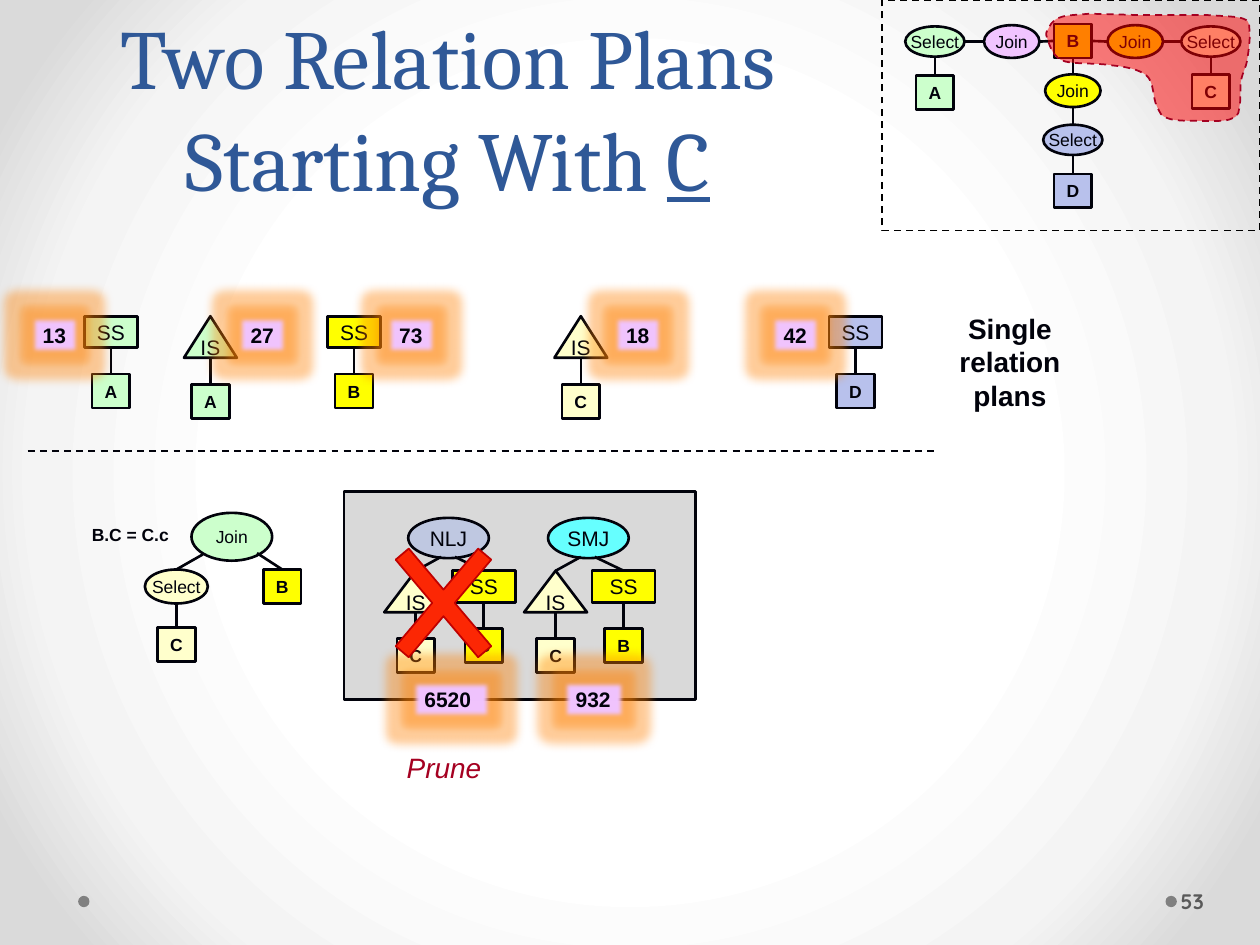
from typing import NamedTuple, Optional

from lxml import etree
from pptx import Presentation
from pptx.dml.color import RGBColor
from pptx.enum import dml, shapes, text
from pptx.oxml import ns
from pptx.util import Inches, Pt


class Theme:
    ink, title, grey, bullet = "01020B", "2F5897", "595959", "808080"
    green, yellow, cream, blue = "CCFFCC", "FFFF00", "FFFFCC", "B8C1EC"
    pink, nlj, smj, panel = "F1C4FF", "BFC8E1", "66FFFF", "D9D9D9"
    cross, cross_edge, region, region_edge = "FC2704", "C00000", "FF0000", "A50021"
    glow = "FF8000"
    body, heading, footer = "Arial", "Cambria", "Quicksand"
    small, medium, large, huge = 10, 12, 16, 48
    thin, thick = 1, 1.5


RECT = shapes.MSO_SHAPE.RECTANGLE
OVAL = shapes.MSO_SHAPE.OVAL
TRIANGLE = shapes.MSO_SHAPE.ISOSCELES_TRIANGLE
TOP, LEFT, BOTTOM, RIGHT = range(4)


class Node(NamedTuple):
    """A labelled operator or table, placed by its centre."""
    kind: int
    label: str
    x: float
    y: float
    width: float
    height: float
    fill: str
    size: int = Theme.small
    bold: bool = False


class Placed(NamedTuple):
    node: Node
    shape: object

    def site(self, side: int) -> tuple:
        n = self.node
        return {TOP: (n.x, n.y - n.height / 2), LEFT: (n.x - n.width / 2, n.y),
                BOTTOM: (n.x, n.y + n.height / 2), RIGHT: (n.x + n.width / 2, n.y)}[side]


class Scan(NamedTuple):
    """A table scan: SS (sequential) or IS (index) above its table."""
    method: str
    table: str
    left: float
    top: float
    width: float
    fill: str


def leaf(label: str, x: float, y: float, fill: str) -> Node:
    return Node(RECT, label, x, y, 0.3, 0.27, fill, bold=True)


def select(x: float, y: float, fill: str) -> Node:
    return Node(OVAL, "Select", x, y, 0.47, 0.24, fill)


def join(x: float, y: float, fill: str) -> Node:
    return Node(OVAL, "Join", x, y, 0.44, 0.26, fill)


presentation = Presentation()
presentation.slide_width, presentation.slide_height = Inches(10), Inches(7.5)
slide = presentation.slides.add_slide(presentation.slide_layouts[6])


def color(value: str) -> RGBColor:
    return RGBColor.from_string(value)


def add_xml(parent, tag: str, **attributes):
    return etree.SubElement(parent, ns.qn(tag), attributes)


def style_line(line, value: str, width: float, dashed: bool = False) -> None:
    line.color.rgb = color(value)
    line.width = Pt(width)
    if dashed:
        line.dash_style = dml.MSO_LINE.DASH


def style_text(frame, label: str, size: float, value: str = Theme.ink, name: str = Theme.body,
               bold: bool = False, italic: bool = False, align=text.PP_ALIGN.LEFT) -> None:
    frame.text = label
    paragraph = frame.paragraphs[0]
    paragraph.alignment = align
    for run in paragraph.runs:
        run.font.name, run.font.size = name, Pt(size)
        run.font.bold, run.font.italic = bold, italic
        run.font.color.rgb = color(value)


def add_box(kind: int, left: float, top: float, width: float, height: float,
            fill: Optional[str] = None):
    shape = slide.shapes.add_shape(kind, *map(Inches, (left, top, width, height)))
    shape.shadow.inherit = False
    if fill:
        shape.fill.solid()
        shape.fill.fore_color.rgb = color(fill)
    else:
        shape.fill.background()
    shape.line.fill.background()
    return shape


def add_text(left: float, top: float, width: float, height: float, label: str, size: float,
             wrap: bool = True, anchor=text.MSO_ANCHOR.TOP, **style):
    frame = slide.shapes.add_textbox(*map(Inches, (left, top, width, height))).text_frame
    frame.word_wrap, frame.vertical_anchor = wrap, anchor
    style_text(frame, label, size, **style)
    return frame


def add_node(node: Node) -> Placed:
    shape = add_box(node.kind, node.x - node.width / 2, node.y - node.height / 2,
                    node.width, node.height, node.fill)
    style_line(shape.line, Theme.ink, Theme.thick)
    shape.text_frame.word_wrap = False
    shape.text_frame.vertical_anchor = text.MSO_ANCHOR.MIDDLE
    style_text(shape.text_frame, node.label, node.size, bold=node.bold, align=text.PP_ALIGN.CENTER)
    return Placed(node, shape)


def add_line(start: tuple, end: tuple, width: float = Theme.thick, dashed: bool = False):
    line = slide.shapes.add_connector(shapes.MSO_CONNECTOR.STRAIGHT, *map(Inches, start + end))
    style_line(line.line, Theme.ink, width, dashed)
    add_xml(line.element.spPr, "a:effectLst")
    return line


def link(first: Placed, first_side: int, second: Placed, second_side: int) -> None:
    line = add_line(first.site(first_side), second.site(second_side))
    if first.node.kind == RECT:
        line.begin_connect(first.shape, first_side)
    if second.node.kind == RECT:
        line.end_connect(second.shape, second_side)


def add_arm(start: tuple, child: Placed) -> None:
    line = add_line(start, child.site(TOP))
    if child.node.kind == RECT:
        line.end_connect(child.shape, TOP)


def add_scan(scan: Scan) -> Placed:
    kind, height, drop = (RECT, 0.25, 0.46) if scan.method == "SS" else (TRIANGLE, 0.33, 0.54)
    x = scan.left + scan.width / 2
    operator = add_node(Node(kind, scan.method, x, scan.top + height / 2, scan.width, height,
                             scan.fill, Theme.medium))
    table = add_node(leaf(scan.table, x, scan.top + drop + 0.135, scan.fill))
    link(operator, BOTTOM, table, TOP)
    return operator


def add_join_plan(left: float, label: str, fill: str) -> None:
    add_node(Node(OVAL, label, left + 0.51, 4.27, 0.64, 0.32, fill, Theme.medium))
    inner = add_scan(Scan("SS", "B", left + 0.54, 4.53, 0.5, Theme.yellow))
    outer = add_scan(Scan("IS", "C", left, 4.53, 0.5, Theme.cream))
    add_arm((left + 0.45, 4.42), outer)
    add_arm((left + 0.56, 4.42), inner)


def add_cost(label: str, left: float, top: float, width: float = 0.39) -> None:
    shape = add_box(RECT, left, top, width, 0.3, Theme.pink)
    style_text(shape.text_frame, label, Theme.medium, bold=True)
    effects = shape.element.spPr.find(ns.qn("a:effectLst"))
    glow = add_xml(effects, "a:glow", rad=str(Pt(11)))
    add_xml(add_xml(glow, "a:srgbClr", val=Theme.glow), "a:alpha", val="40000")
    add_xml(effects, "a:softEdge", rad=str(Pt(2.5)))


def add_region(start: tuple, curves: list) -> None:
    """Draw a closed outline of cubic curves: two handles and an end point each."""
    points = [tuple(map(Inches, curve[i:i + 2])) for curve in curves for i in (0, 2, 4)]
    builder = slide.shapes.build_freeform(*map(Inches, start))
    builder.add_line_segments(points, close=True)
    shape = builder.convert_to_shape()
    segments = shape.element.findall(".//" + ns.qn("a:lnTo"))[:len(points)]
    for first in range(0, len(segments), 3):
        curve = etree.Element(ns.qn("a:cubicBezTo"))
        segments[first].addprevious(curve)
        for segment in segments[first:first + 3]:
            curve.append(segment[0])
            segment.getparent().remove(segment)
    shape.shadow.inherit = False
    shape.fill.solid()
    shape.fill.fore_color.rgb = color(Theme.region)
    add_xml(shape.element.spPr.find(".//" + ns.qn("a:srgbClr")), "a:alpha", val="50000")
    style_line(shape.line, Theme.region_edge, Theme.thin, dashed=True)


# Background: radial gradient
slide.background.fill.gradient()
gradient = slide.element.find(".//" + ns.qn("a:gradFill"))
for child in list(gradient):
    gradient.remove(child)
stops = add_xml(gradient, "a:gsLst")
for percent, value in ((50, "FFFFFF"), (76, "F4F4F4"), (92, "DADADA")):
    add_xml(add_xml(stops, "a:gs", pos=str(percent * 1000)), "a:srgbClr", val=value)
add_xml(add_xml(gradient, "a:path", path="circle"), "a:fillToRect",
        **dict.fromkeys("ltrb", "50000"))

# Title and footer
for left in (9.25, 0.62):
    add_box(OVAL, left, 7.11, 0.09, 0.09, Theme.bullet)
title = add_text(0.18, 0.95, 6.75, 0.75, "Two Relation Plans Starting With ", Theme.huge,
                 anchor=text.MSO_ANCHOR.BOTTOM, value=Theme.title, name=Theme.heading,
                 align=text.PP_ALIGN.CENTER).paragraphs[0]
title.line_spacing = Pt(58)
relation = title.add_run()
relation.text = "C"
relation.font.name, relation.font.size, relation.font.underline = Theme.heading, Pt(Theme.huge), True
relation.font.color.rgb = color(Theme.title)
number = add_text(9.34, 6.95, 0.61, 0.4, "53", Theme.medium, anchor=text.MSO_ANCHOR.MIDDLE,
                  value=Theme.grey, name=Theme.footer, bold=True)
number.margin_left, number.margin_right = Inches(0.03), Inches(0.05)
add_line((0.22, 3.58), (7.44, 3.58), Theme.thin, dashed=True)

# Logical plan for B and C
select_c = add_node(Node(OVAL, "Select", 1.4, 4.655, 0.5, 0.27, Theme.cream))
table_c = add_node(leaf("C", 1.4, 5.115, Theme.cream))
table_b = add_node(leaf("B", 2.24, 4.655, Theme.yellow))
add_node(Node(OVAL, "Join", 1.84, 4.26, 0.64, 0.38, Theme.green))
link(select_c, BOTTOM, table_c, TOP)
add_arm((1.61, 4.4), select_c)
add_arm((2.04, 4.39), table_b)
add_text(0.63, 4.11, 1.05, 0.27, "B.C = C.c", Theme.small, bold=True)

# Physical join plans
panel = add_box(RECT, 2.73, 3.9, 2.79, 1.65, Theme.panel)
style_line(panel.line, Theme.ink, Theme.thick)
add_join_plan(3.05, "NLJ", Theme.nlj)
add_join_plan(4.16, "SMJ", Theme.smj)

# Query graph
graph = {key: add_node(node) for key, node in {
    "A": leaf("A", 7.42, 0.735, Theme.green), "select A": select(7.42, 0.33, Theme.green),
    "join AB": join(8.03, 0.33, Theme.pink), "B": leaf("B", 8.515, 0.325, Theme.yellow),
    "join BC": join(9.01, 0.33, Theme.yellow), "select C": select(9.61, 0.33, Theme.cream),
    "C": leaf("C", 9.61, 0.725, Theme.cream), "join BD": join(8.515, 0.72, Theme.yellow),
    "select D": select(8.515, 1.11, Theme.blue),
    "D": leaf("D", 8.515, 1.515, Theme.blue)}.items()}
for chain, out_side, in_side in (
        (("select A", "join AB", "B", "join BC", "select C"), RIGHT, LEFT),
        (("B", "join BD", "select D", "D"), BOTTOM, TOP),
        (("select A", "A"), BOTTOM, TOP), (("select C", "C"), BOTTOM, TOP)):
    for first, second in zip(chain, chain[1:]):
        link(graph[first], out_side, graph[second], in_side)

# Join costs
add_cost("6520", 3.27, 5.4, 0.63)
add_cost("932", 4.47, 5.4, 0.49)

# Single relation plans with their costs
add_text(7.32, 2.42, 1.39, 0.91, "Single relation plans", Theme.large, bold=True,
         align=text.PP_ALIGN.CENTER)
for method, table, left, fill, cost, cost_left in (
        ("SS", "B", 2.6, Theme.yellow, "73", 3.07), ("IS", "A", 1.46, Theme.green, "27", 1.89),
        ("SS", "A", 0.67, Theme.green, "13", 0.24), ("SS", "D", 6.58, Theme.blue, "42", 6.12),
        ("IS", "C", 4.4, Theme.cream, "18", 4.87)):
    add_scan(Scan(method, table, left, 2.51, 0.42, fill))
    add_cost(cost, cost_left, 2.51)

# Graph frame, pruning cross and highlighted region
style_line(add_box(RECT, 7, 0, 3, 1.83).line, "000000", Theme.thin, dashed=True)
cross = add_box(shapes.MSO_SHAPE.MATH_MULTIPLY, 2.89, 4.04, 1.26, 1.49, Theme.cross)
cross.adjustments[0] = 0.108
style_line(cross.line, Theme.cross_edge, Theme.thin)
add_region((9.5, 0.96), [
    (9.42, 0.96, 9.32, 0.96, 9.27, 0.94), (9.21, 0.92, 9.21, 0.9, 9.18, 0.84),
    (9.15, 0.78, 9.16, 0.65, 9.1, 0.6), (9.04, 0.55, 8.93, 0.53, 8.83, 0.52),
    (8.72, 0.5, 8.54, 0.51, 8.46, 0.49), (8.39, 0.47, 8.39, 0.45, 8.36, 0.42),
    (8.34, 0.39, 8.32, 0.33, 8.31, 0.3), (8.3, 0.27, 8.3, 0.26, 8.32, 0.23),
    (8.33, 0.21, 8.35, 0.16, 8.41, 0.14), (8.46, 0.12, 8.53, 0.12, 8.64, 0.11),
    (8.74, 0.11, 9.02, 0.12, 9.02, 0.12), (9.18, 0.12, 9.44, 0.12, 9.58, 0.12),
    (9.72, 0.13, 9.82, 0.13, 9.87, 0.15), (9.93, 0.17, 9.91, 0.21, 9.92, 0.27),
    (9.92, 0.32, 9.91, 0.41, 9.9, 0.47), (9.89, 0.54, 9.86, 0.58, 9.85, 0.64),
    (9.84, 0.69, 9.85, 0.78, 9.84, 0.83), (9.83, 0.88, 9.84, 0.92, 9.78, 0.94),
    (9.73, 0.97, 9.59, 0.96, 9.5, 0.96)])
add_text(3.13, 5.91, 0.8, 0.37, "Prune", Theme.large, wrap=False, value=Theme.region_edge,
         italic=True)

presentation.save("out.pptx")
